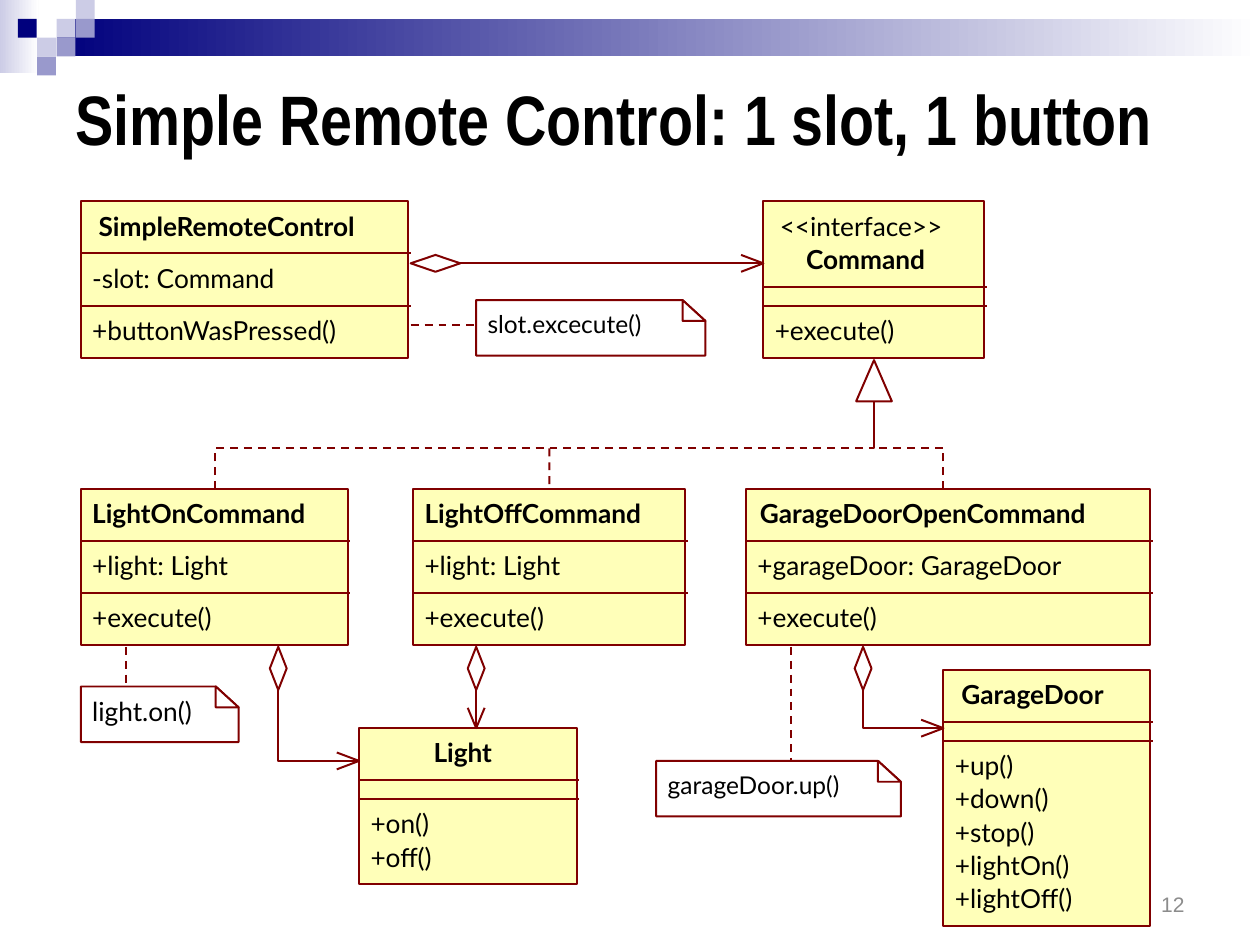
from pptx import Presentation
from pptx.dml.color import RGBColor
from pptx.enum import dml, shapes, text
from pptx.oxml.ns import qn
from pptx.util import Cm, Pt

# ---- Content (lengths in cm) ----
COLORS = {"ink": "000000", "number": "8C8C8C", "line": "800000", "class": "FFFFB9",
          "white": "FFFFFF", "navy": "00007D", "mid": "9999CC", "pale": "CCCCE6"}
TITLE = "Simple Remote Control: 1 slot, 1 button"
PAGE = "12"

BANDS = [(0, 0, 0.78, 1.48, "pale"), (1.14, 0.38, 24.26, 0.76, "navy")]
SQUARES = [(2, 1, "pale"), (3, 0, "pale"), (3, 1, "mid"), (1, 2, "pale"),
           (0, 1, "navy"), (2, 2, "mid"), (1, 3, "mid")]  # column, row, colour

# left, top, width, header lines (text, indent, bold), attributes, methods
CLASSES = {
    "remote": (1.63, 4.06, 6.6, [("SimpleRemoteControl", 0.36, True)],
               ["-slot: Command"], ["+buttonWasPressed()"]),
    "command": (15.39, 4.06, 4.45, [("<<interface>>", 0.33, False), ("Command", 0.86, True)],
                [], ["+execute()"]),
    "light_on": (1.63, 9.86, 5.38, [("LightOnCommand", 0.23, True)],
                 ["+light: Light"], ["+execute()"]),
    "light_off": (8.33, 9.86, 5.49, [("LightOffCommand", 0.23, True)],
                  ["+light: Light"], ["+execute()"]),
    "door_open": (15.04, 9.86, 8.15, [("GarageDoorOpenCommand", 0.28, True)],
                  ["+garageDoor: GarageDoor"], ["+execute()"]),
    "light": (7.24, 14.68, 4.39, [("Light", 1.5, True)], [], ["+on()", "+off()"]),
    "door": (19.02, 13.51, 4.17, [("GarageDoor", 0.36, True)], [],
             ["+up()", "+down()", "+stop()", "+lightOn()", "+lightOff()"]),
}
# text, left, top, width, size, start and end of the dashed link
NOTES = [
    ("light.on()", 1.63, 13.84, 3.18, 15, (2.54, 13.04), (2.54, 13.84)),
    ("slot.excecute()", 9.6, 6.05, 4.62, 14, (8.28, 6.55), (9.6, 6.55)),
    ("garageDoor.up()", 13.23, 15.34, 4.93, 14, (15.95, 13.04), (15.95, 15.34)),
]
# from the whole (diamond) to the part (arrow)
AGGREGATIONS = [
    [(8.28, 5.31), (15.39, 5.31)],
    [(5.61, 13.04), (5.61, 15.34), (7.24, 15.34)],
    [(9.6, 13.04), (9.6, 14.68)],
    [(17.4, 13.04), (17.4, 14.68), (19.02, 14.68)],
]
LINE_PITCH, SECTION_PAD, TEXT_INDENT, OVERHANG = 0.67, 0.38, 0.23, 0.05
SQUARE, NOTE_H, FOLD_W, FOLD_H = 0.38, 1.12, 0.46, 0.42
DIAMOND, ARROW, HEAD_HALF = (1.0, 0.87), (0.45, 0.41), 0.17  # lengths: across, down
BRANCH_Y, TRIANGLE_H, TRIANGLE_HALF = 9.04, 0.83, 0.36

deck = Presentation()
deck.slide_width, deck.slide_height = Cm(25.4), Cm(19.05)
slide = deck.slides.add_slide(deck.slide_layouts[6])


def rgb(name):
    return RGBColor.from_string(COLORS[name])


def style_line(item, dashed=False):
    item.line.color.rgb = rgb("line")
    item.line.width = Pt(1.13)
    if dashed:
        item.line.dash_style = dml.MSO_LINE.DASH


def box(left, top, width, height, fill):
    rect = slide.shapes.add_shape(shapes.MSO_SHAPE.RECTANGLE,
                                  Cm(left), Cm(top), Cm(width), Cm(height))
    rect.shadow.inherit = False
    rect.fill.solid()
    rect.fill.fore_color.rgb = rgb(fill)
    rect.line.fill.background()
    return rect


def write(content, left, top, width, height, size=15, bold=False, font="Lato",
          color="ink", inset=0, wrap=False, align=text.PP_ALIGN.LEFT,
          anchor=text.MSO_ANCHOR.TOP):
    frame = slide.shapes.add_textbox(Cm(left), Cm(top), Cm(width), Cm(height)).text_frame
    frame.text = content
    frame.word_wrap, frame.vertical_anchor = wrap, anchor
    frame.margin_left = frame.margin_right = Cm(inset)
    frame.margin_top = frame.margin_bottom = Cm(inset / 2)
    frame.paragraphs[0].alignment = align
    run_font = frame.paragraphs[0].runs[0].font
    run_font.name, run_font.size, run_font.bold = font, Pt(size), bold
    run_font.color.rgb = rgb(color)


def straight(start, end, dashed=False):
    link = slide.shapes.add_connector(shapes.MSO_CONNECTOR.STRAIGHT,
                                      *(Cm(v) for v in (*start, *end)))
    style_line(link, dashed)
    properties = link._element.spPr
    properties.append(properties.makeelement(qn("a:effectLst"), {}))
    return link


def outline(points, closed=False, dashed=False):
    first, *rest = [(Cm(x), Cm(y)) for x, y in points]
    builder = slide.shapes.build_freeform(*first)
    builder.add_line_segments(rest, close=closed)
    shape = builder.convert_to_shape()
    shape.shadow.inherit = False
    if closed:
        shape.fill.solid()
        shape.fill.fore_color.rgb = rgb("white")
    else:
        shape.fill.background()
    style_line(shape, dashed)


def head_points(tip, toward, lengths):
    """Side points and far point of a head whose axis runs from tip to toward."""
    (x, y), (tx, ty) = tip, toward
    across = ty == y
    length = lengths[0 if across else 1]
    sign = 1 if (tx - x) + (ty - y) > 0 else -1

    def at(along, side):
        return (x + sign * along, y + side) if across else (x + side, y + sign * along)

    return at, length


def draw_class(left, top, width, header, attributes, methods):
    sections = [header] + [[(line, TEXT_INDENT, False) for line in lines]
                           for lines in (attributes, methods)]
    heights = [SECTION_PAD + LINE_PITCH * len(lines) for lines in sections]
    frame = box(left, top, width, sum(heights), "class")
    style_line(frame)
    for index, (lines, height) in enumerate(zip(sections, heights)):
        if index:
            straight((left, top), (left + width + OVERHANG, top))
        for row, (line, indent, bold) in enumerate(lines):
            write(line, left + indent, top + 0.17 + row * LINE_PITCH,
                  width - indent, LINE_PITCH, bold=bold)
        top += height
    return frame


# ---- Header decoration ----
for left, top, width, height, color in BANDS:
    fill = box(left, top, width, height, color).fill
    fill.gradient()
    fill.gradient_angle = 0
    for stop, stop_color in zip(fill.gradient_stops, (color, "white")):
        stop.color.rgb = rgb(stop_color)
for column, row, color in SQUARES:
    box(0.36 + 0.39 * column, SQUARE * row, SQUARE, SQUARE, color)

# ---- Title and page number ----
write(TITLE, 1.27, 1.14, 22.86, 2.46, 40, True, "Arial Narrow", inset=0.25,
      wrap=True, anchor=text.MSO_ANCHOR.MIDDLE)
write(PAGE, 18.21, 17.78, 5.92, 0.89, 12, font="Arial", color="number", inset=0.25,
      wrap=True, align=text.PP_ALIGN.RIGHT, anchor=text.MSO_ANCHOR.MIDDLE)

# ---- Classes ----
frames = {key: draw_class(*parts) for key, parts in CLASSES.items()}

# ---- Realization of the interface ----
root = (17.62, 7.26)
for x in (4.34, 19.02):
    outline([(x, 9.86), (x, BRANCH_Y), (root[0], BRANCH_Y), root], dashed=True)
off_left, off_top, off_width = CLASSES["light_off"][:3]
off_middle = off_left + off_width / 2
branch = straight((off_middle, BRANCH_Y), (off_middle, off_top), dashed=True)
branch.end_connect(frames["light_off"], 0)
outline([root] + [(root[0] + side, root[1] + TRIANGLE_H)
                  for side in (-TRIANGLE_HALF, TRIANGLE_HALF)], closed=True)

# ---- Aggregations ----
for route in AGGREGATIONS:
    if len(route) == 2:
        straight(*route)
    else:
        outline(route)
    at, length = head_points(route[0], route[1], DIAMOND)
    outline([at(0, 0), at(length / 2, HEAD_HALF), at(length, 0),
             at(length / 2, -HEAD_HALF)], closed=True)
    at, length = head_points(route[-1], route[-2], ARROW)
    outline([at(length, HEAD_HALF), at(0, 0), at(length, -HEAD_HALF)])

# ---- Notes ----
for content, left, top, width, size, start, end in NOTES:
    right, bottom = left + width, top + NOTE_H
    fold_x, fold_y = right - FOLD_W, top + FOLD_H
    outline([(left, top), (fold_x, top), (right, fold_y), (right, bottom),
             (left, bottom)], closed=True)
    outline([(fold_x, top), (fold_x, fold_y), (right, fold_y)], closed=True)
    write(content, left + TEXT_INDENT, top + 0.18, width - TEXT_INDENT, LINE_PITCH, size)
    straight(start, end, dashed=True)

deck.save("out.pptx")
